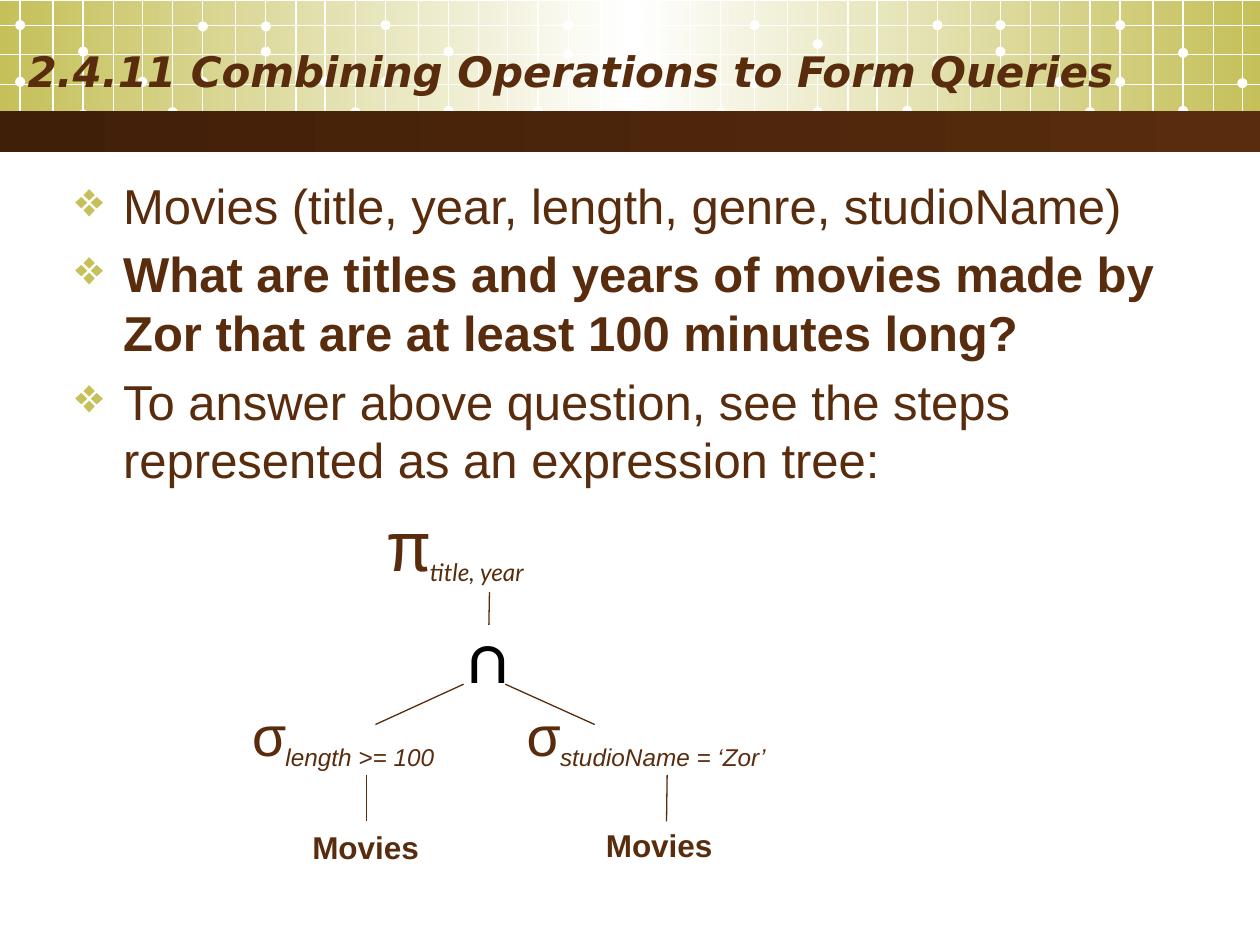
from copy import deepcopy
from dataclasses import dataclass
from itertools import product

from lxml import etree
from pptx import Presentation
from pptx import util as u
from pptx.dml.color import RGBColor
from pptx.enum import shapes, text
from pptx.oxml.ns import qn


@dataclass(frozen=True)
class Theme:
    brown: str = "592C0D"
    dark: str = "401F09"
    olive: str = "C5C059"
    white: str = "FFFFFF"
    black: str = "000000"
    body_font: str = "Arial"
    title_font: str = "DejaVu Sans"
    title_size: int = 24
    body_size: int = 28
    label_size: int = 18
    subscript_size: int = 24
    sigma_size: int = 32
    operator_size: int = 40
    line_width: float = 0.75


theme = Theme()
COLUMNS, ROWS = 100, 75

TITLE = "2.4.11 Combining Operations to Form Queries"
BULLETS = [
    ("Movies (title, year, length, genre, studioName)", False),
    ("What are titles and years of movies made by Zor that are at least 100 minutes long?", True),
    ("To answer above question, see the steps represented as an expression tree:", False),
]

MESH_STARTS = [1.6, 16.1, 30.6, 45.1, 59.9, 74.4, 88.9]
MESH_OFFSETS = [0, 2.6, 5, 7.4, 9.7, 12.1]
MESH_ROWS = [2, 4.3, 6.7, 8.9]
MESH_BOTTOM = 11
DOT = 0.8
DOT_ROWS = {
    0: (2, 6.5), 2: (4.1, 9.1), 4: (6.5,), 5: (8.9,),
    6: (2.1, 6.5), 8: (2.1, 4.1), 10: (6.5,), 11: (8.9,),
    12: (2, 6.5), 14: (4.1, 8.8), 16: (6.5,), 17: (8.8,),
    18: (2, 4.3), 20: (2, 4.2), 22: (6.5,), 23: (8.9,),
    24: (2, 6.6), 26: (3.5, 8.9), 28: (6.4,), 29: (8.8,),
    30: (2, 5.1), 32: (2, 4.1), 34: (6.5,), 35: (8.9,),
    36: (2, 6.5), 38: (4.2, 8.8), 40: (6.6,),
}

SYMBOL = dict(font="Courier New", size=theme.sigma_size)
SUBSCRIPT = dict(size=theme.subscript_size, italic=True, baseline=-25000)
LABEL = dict(size=theme.label_size, bold=True)
TREE = {
    "left movies": ((23.8, 65.2, 18.1, 4), [("Movies", LABEL)]),
    "right movies": ((47.1, 65.1, 18.1, 4), [("Movies", LABEL)]),
    "projection": ((29.8, 39.3, 18.1, 7.7), [
        ("π", SYMBOL | dict(size=theme.operator_size)),
        ("title, year", SUBSCRIPT | dict(font="Lato"))]),
    "intersection": ((35.8, 48.2, 5.8, 7.7), [
        ("∩", dict(font="Calibri", size=theme.operator_size, bold=True, color=theme.black))]),
    "length filter": ((19, 55.1, 20.2, 6.4), [("σ", SYMBOL), ("length >= 100", SUBSCRIPT)]),
    "studio filter": ((40.8, 55.1, 24.3, 6.4), [("σ", SYMBOL), ("studioName = ‘Zor’", SUBSCRIPT)]),
}
STEMS = [
    ("length filter", (29.1, 61.5), (29.1, 65.2)),
    ("studio filter", (52.9, 61.5), (52.9, 65.2)),
    (None, (36.8, 54.3), (29.8, 57.5)),
    (None, (40.1, 54.3), (47.2, 57.5)),
    ("projection", (38.8, 47), (38.8, 49.6)),
]

presentation = Presentation()
presentation.slide_width, presentation.slide_height = u.Inches(10), u.Inches(7.5)
slide = presentation.slides.add_slide(presentation.slide_layouts[6])


def place(*lengths):
    cells = (presentation.slide_width / COLUMNS, presentation.slide_height / ROWS)
    return [round(length * cells[index % 2]) for index, length in enumerate(lengths)]


def add_shape(kind, area):
    shape = slide.shapes.add_shape(kind, *place(*area))
    shape.shadow.inherit = False
    shape.line.fill.background()
    return shape


def add_gradient(area, colors):
    shape = add_shape(shapes.MSO_SHAPE.RECTANGLE, area)
    shape.fill.gradient()
    shape.fill.gradient_angle = 0
    stop_list = shape.element.spPr.find(qn("a:gradFill")).find(qn("a:gsLst"))
    for _ in colors[2:]:
        stop_list.insert(1, deepcopy(stop_list[0]))
    for index, (stop, color) in enumerate(zip(shape.fill.gradient_stops, colors)):
        stop.position = index / (len(colors) - 1)
        stop.color.rgb = RGBColor.from_string(color)


def add_line(start, end, color):
    line = slide.shapes.add_connector(shapes.MSO_CONNECTOR.STRAIGHT, *place(*start, *end))
    line.line.color.rgb = RGBColor.from_string(color)
    line.line.width = u.Pt(theme.line_width)
    etree.SubElement(line.element.spPr, qn("a:effectLst"))
    return line


def add_box(area, anchor=text.MSO_ANCHOR.TOP, fit=text.MSO_AUTO_SIZE.NONE):
    box = slide.shapes.add_textbox(*place(*area))
    box.text_frame.word_wrap = True
    box.text_frame.vertical_anchor = anchor
    box.text_frame.auto_size = fit
    return box


def add_text(paragraph, content, *, size, font=theme.body_font, color=theme.brown,
             bold=False, italic=False, baseline=0):
    run = paragraph.add_run()
    run.text = content
    run.font.name, run.font.size = font, u.Pt(size)
    run.font.bold, run.font.italic = bold, italic
    run.font.color.rgb = RGBColor.from_string(color)
    if baseline:
        run.font._element.set("baseline", str(baseline))


def add_bullet(paragraph):
    properties = paragraph._p.get_or_add_pPr()
    indent = u.Inches(0.38)
    properties.set("marL", str(indent))
    properties.set("indent", str(-indent))
    color = etree.SubElement(properties, qn("a:buClr"))
    etree.SubElement(color, qn("a:srgbClr"), val=theme.olive)
    etree.SubElement(properties, qn("a:buChar"), char="❖")


def draw_header():
    add_gradient((0, 0.1, COLUMNS, 10.2), [theme.olive, theme.white, theme.olive])
    columns = [start + offset for start, offset in product(MESH_STARTS, MESH_OFFSETS)
               if start + offset < COLUMNS]
    for column in columns:
        add_line((column, 0), (column, MESH_BOTTOM), theme.white)
    for row in MESH_ROWS:
        add_line((0, row), (COLUMNS, row), theme.white)
    for index, rows in DOT_ROWS.items():
        for row in rows:
            dot = add_shape(shapes.MSO_SHAPE.OVAL,
                            (columns[index] - DOT / 2, row - DOT / 2, DOT, DOT))
            dot.fill.solid()
            dot.fill.fore_color.rgb = RGBColor.from_string(theme.white)
    add_gradient((0, 8.8, COLUMNS, 3.3), [theme.dark, theme.brown])
    title = add_box((1.2, 2.5, 103.2, 6.2), anchor=text.MSO_ANCHOR.MIDDLE)
    add_text(title.text_frame.paragraphs[0], TITLE, font=theme.title_font,
             size=theme.title_size, bold=True, italic=True)


def draw_bullets():
    frame = add_box((5, 13.4, 90, 55.7)).text_frame
    for index, (content, bold) in enumerate(BULLETS):
        paragraph = frame.add_paragraph() if index else frame.paragraphs[0]
        paragraph.space_before = u.Pt(theme.body_size * 0.2)
        add_bullet(paragraph)
        add_text(paragraph, content, size=theme.body_size, bold=bold)


def draw_tree():
    nodes = {}
    for name, (area, runs) in TREE.items():
        nodes[name] = add_box(area, fit=text.MSO_AUTO_SIZE.SHAPE_TO_FIT_TEXT)
        for content, style in runs:
            add_text(nodes[name].text_frame.paragraphs[0], content, **style)
    for parent, start, end in STEMS:
        stem = add_line(start, end, theme.brown)
        if parent:
            stem.begin_connect(nodes[parent], 2)


draw_header()
draw_bullets()
draw_tree()
presentation.save("out.pptx")
